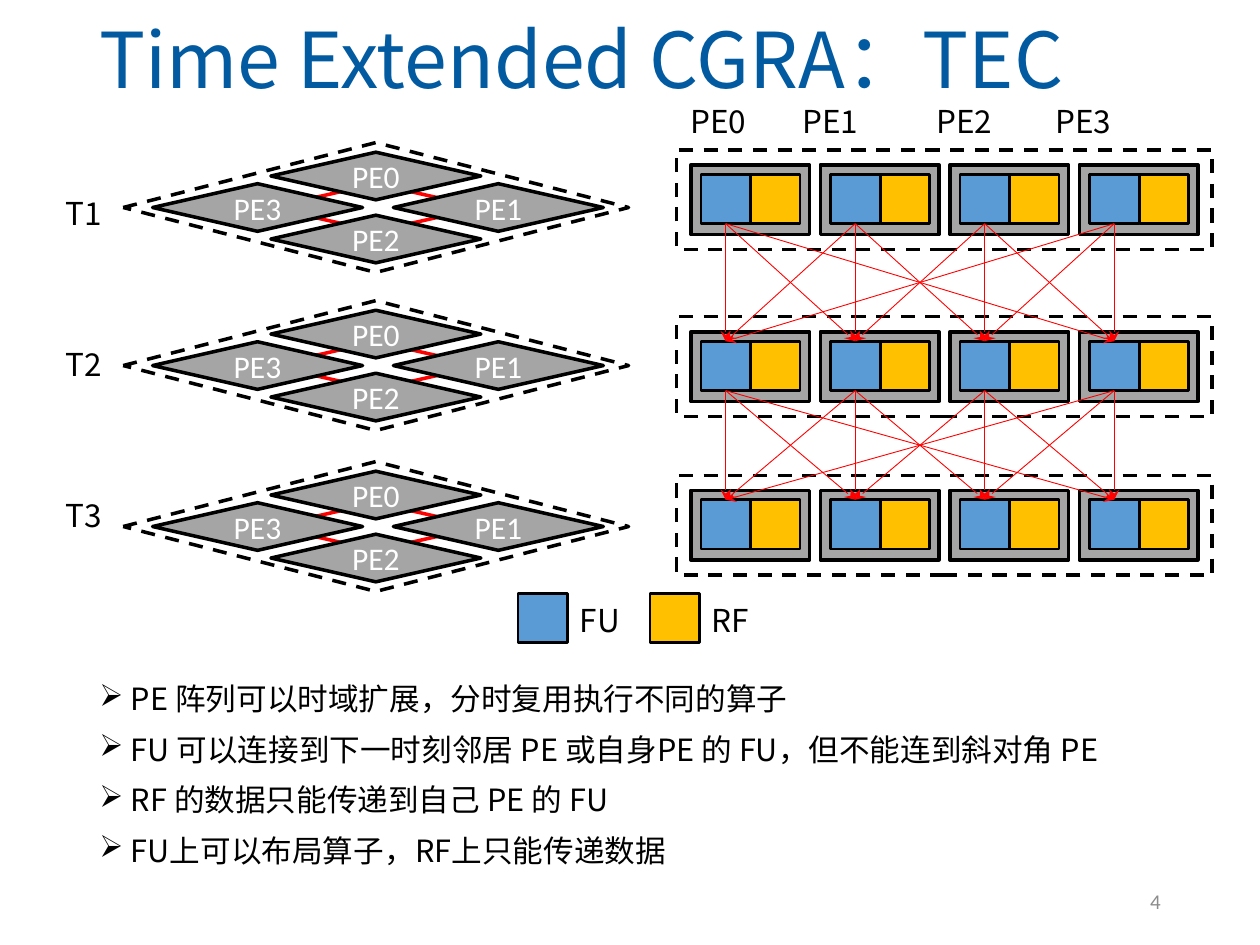
from lxml import etree
from pptx import Presentation
from pptx import util as u
from pptx.dml.color import RGBColor
from pptx.enum import dml, shapes, text
from pptx.oxml.ns import qn

Pt = u.Pt
COLORS = {"title": "025AA0", "black": "000000", "white": "FFFFFF", "pe": "A5A5A5",
          "fu": "5B9BD5", "rf": "FFC000", "link": "FF0000", "number": "8C8C8C"}
SANS, LATIN = "Noto Sans CJK SC", "Calibri"

TITLE = "Time Extended CGRA：TEC"
BULLETS = [
    "PE 阵列可以时域扩展，分时复用执行不同的算子",
    "FU 可以连接到下一时刻邻居 PE 或自身PE 的 FU，但不能连到斜对角 PE",
    "RF 的数据只能传递到自己 PE 的 FU",
    "FU上可以布局算子，RF上只能传递数据",
]
TIMES = ["T1", "T2", "T3"]
PES = ["PE0", "PE1", "PE2", "PE3"]
HEADER_TABS = [64, 140.6, 208.6]
LEGEND = [("FU", "fu", 296), ("RF", "rf", 371.5)]

MESH_X, MESH_YS = 214.8, [118.6, 208.9, 300.9]
MESH_PES = [("PE0", 0, -18), ("PE3", -67.6, 0), ("PE2", 0, 18), ("PE1", 70, 0)]
PE_DIAMOND, MESH_DIAMOND = (120, 27.2), (288.8, 74.2)

ROW_X, ROW_YS, PE_PITCH = 394.8, [94.2, 189.6, 280.2], 74
PE_W, PE_H, UNIT = 67.8, 39.8, 28.2
FU_DX, RF_DX, UNIT_DY = 5.8, 34.2, 5.4

RECT = shapes.MSO_SHAPE.RECTANGLE
DIAMOND = shapes.MSO_SHAPE.FLOWCHART_DECISION

prs = Presentation()
prs.slide_width, prs.slide_height = Pt(720), Pt(540)
s = prs.slides.add_slide(prs.slide_layouts[6])


def rgb(name):
    return RGBColor.from_string(COLORS[name])


def style(p, size, font, color):
    p.font.size, p.font.name = Pt(size), font
    p.font.color.rgb = rgb(color)


def add_text(lines, x, y, w, h, size=18, font=SANS, color="black",
             anchor=text.MSO_ANCHOR.TOP, wrap=True):
    tf = s.shapes.add_textbox(Pt(x), Pt(y), Pt(w), Pt(h)).text_frame
    tf.word_wrap, tf.vertical_anchor = wrap, anchor
    tf.text = "\n".join(lines)
    for p in tf.paragraphs:
        style(p, size, font, color)
    return tf.paragraphs


def add_box(parent, kind, x, y, w, h, fill=None, line="black", width=2, dash=False):
    sp = parent.shapes.add_shape(kind, Pt(x), Pt(y), Pt(w), Pt(h))
    sp.shadow.inherit = False
    if fill:
        sp.fill.solid()
        sp.fill.fore_color.rgb = rgb(fill)
    else:
        sp.fill.background()
    sp.line.color.rgb = rgb(line)
    sp.line.width = Pt(width)
    if dash:
        sp.line.dash_style = dml.MSO_LINE.DASH
    return sp


def add_diamond(parent, cx, cy, size, **look):
    w, h = size
    return add_box(parent, DIAMOND, cx - w / 2, cy - h / 2, w, h, **look)


def add_mesh(cy):
    group = s.shapes.add_group_shape()
    add_diamond(group, MESH_X, cy, PE_DIAMOND, line="link")
    for name, dx, dy in MESH_PES:
        tf = add_diamond(group, MESH_X + dx, cy + dy, PE_DIAMOND, fill="pe").text_frame
        tf.margin_left = tf.margin_right = tf.margin_top = tf.margin_bottom = 0
        tf.vertical_anchor = text.MSO_ANCHOR.MIDDLE
        tf.word_wrap = False
        tf.text = name
        p = tf.paragraphs[0]
        p.alignment = text.PP_ALIGN.CENTER
        style(p, 18, LATIN, "white")
    add_diamond(group, MESH_X, cy, MESH_DIAMOND, dash=True)


def add_row(group, y):
    units = []
    for i in range(len(PES)):
        x = ROW_X + i * PE_PITCH
        add_box(group, RECT, x, y, PE_W, PE_H, fill="pe")
        fu, _ = [add_box(group, RECT, x + dx, y + UNIT_DY, UNIT, UNIT, fill=fill, width=1.5)
                 for fill, dx in (("fu", FU_DX), ("rf", RF_DX))]
        units.append(fu)
    add_box(group, RECT, ROW_X - 8.2, y - 8.6, 306, 57, dash=True)
    return units


def add_arrow(group, start, end):
    c = group.shapes.add_connector(shapes.MSO_CONNECTOR.STRAIGHT, 0, 0, 0, 0)
    c.begin_connect(start, 2)
    c.end_connect(end, 0)
    c.line.color.rgb = rgb("link")
    c.line.width = Pt(0.5)
    ln = c.line._get_or_add_ln()
    etree.SubElement(ln, qn("a:tailEnd"), type="stealth")
    etree.SubElement(c._element.spPr, qn("a:effectLst"))


p = add_text([TITLE], 49.7, 7.9, 620.6, 56.2, 44, color="title",
             anchor=text.MSO_ANCHOR.MIDDLE)[0]
p.line_spacing = 0.9

for p in add_text(BULLETS, 49.7, 387.4, 620.6, 138.2, 17.5):
    p.line_spacing, p.space_before = 0.9, Pt(10)
    pPr = p._p.get_or_add_pPr()
    pPr.set("marL", str(Pt(18)))
    pPr.set("indent", str(-Pt(18)))
    bullet = etree.Element(qn("a:buChar"), char="➢")
    pPr.find(qn("a:defRPr")).addprevious(bullet)

p = add_text(["4"], 508.3, 500.4, 162, 28.8, 12, LATIN, "number",
             text.MSO_ANCHOR.MIDDLE)[0]
p.alignment = text.PP_ALIGN.RIGHT

for cy in MESH_YS:
    add_mesh(cy)

for i, p in enumerate(add_text(TIMES, 30.2, 107.3, 36, 203.8)):
    p.line_spacing = Pt(21.6)
    p.space_before = Pt(64.8 if i else 0)

array = s.shapes.add_group_shape()
rows = [add_row(array, y) for y in ROW_YS]
for upper, lower in zip(rows, rows[1:]):
    for i, start in enumerate(upper):
        for step in (-1, 0, 1):
            add_arrow(array, start, lower[(i + step) % len(lower)])

p = add_text(["\t".join(PES)], 387.4, 54.7, 298.8, 28.8)[0]
tabs = etree.Element(qn("a:tabLst"))
for pos in HEADER_TABS:
    etree.SubElement(tabs, qn("a:tab"), pos=str(Pt(pos)), algn="l")
p._p.pPr.find(qn("a:defRPr")).addprevious(tabs)

for name, fill, x in LEGEND:
    add_box(s, RECT, x, 339.1, UNIT, UNIT, fill=fill, width=1.5)
    add_text([name], x + UNIT, 339.8, 38, 28.8, wrap=False)

prs.save("out.pptx")
